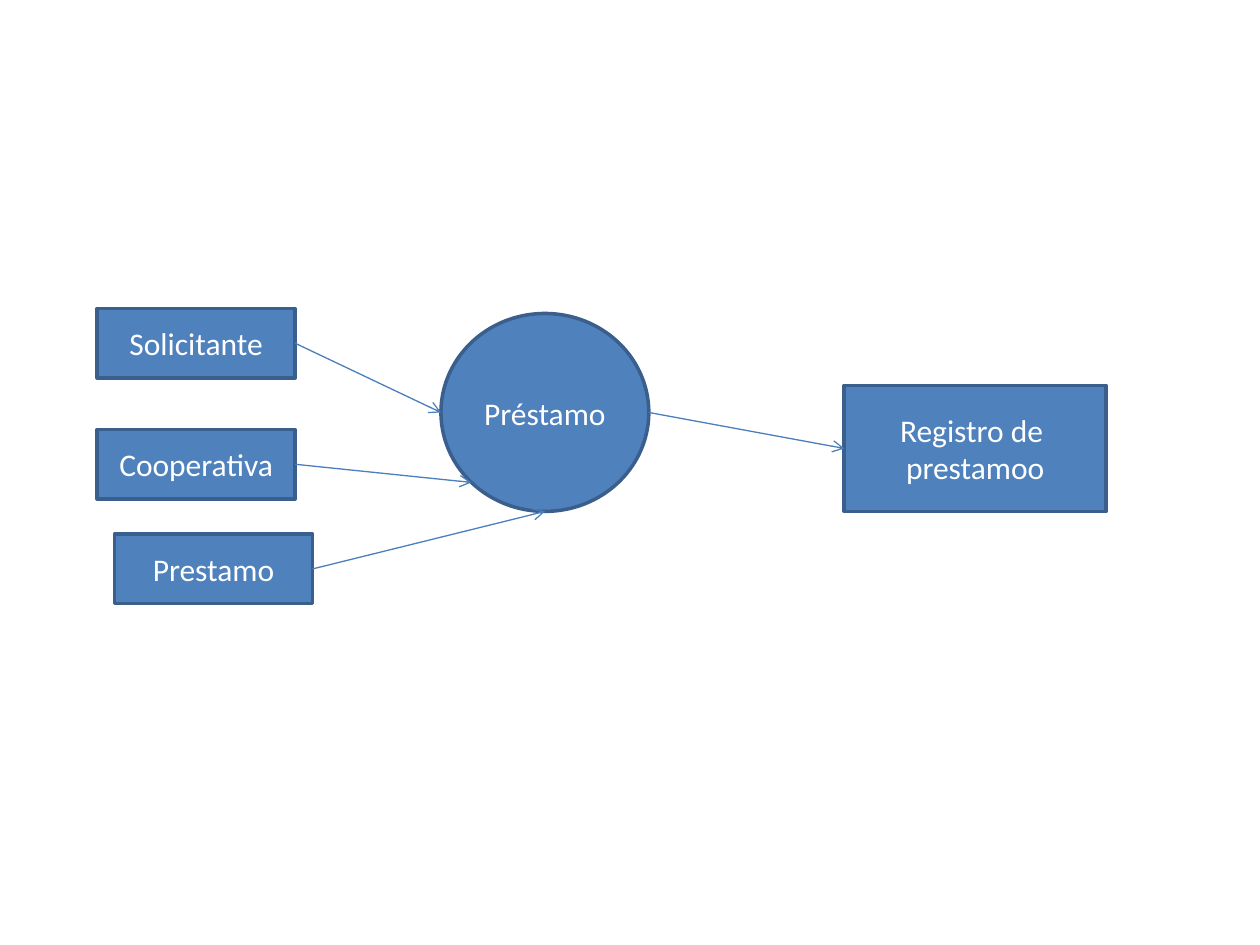
from pptx import Presentation
from pptx.dml.color import RGBColor
from pptx.enum.shapes import MSO_CONNECTOR, MSO_SHAPE
from pptx.enum.text import MSO_ANCHOR, PP_ALIGN
from pptx.oxml.ns import qn
from pptx.util import Cm, Pt
from lxml import etree

RECTANGLE, OVAL = MSO_SHAPE.RECTANGLE, MSO_SHAPE.OVAL
STRAIGHT = MSO_CONNECTOR.STRAIGHT
MIDDLE, CENTER = MSO_ANCHOR.MIDDLE, PP_ALIGN.CENTER
BLUE = RGBColor(0x4F, 0x81, 0xBD)
DARK_BLUE = RGBColor(0x3A, 0x5F, 0x8C)
ARROW_BLUE = RGBColor(0x4B, 0x7E, 0xBC)
WHITE = RGBColor(0xFF, 0xFF, 0xFF)
LEFT_SITE, RIGHT_SITE = 1, 3

deck = Presentation()
deck.slide_width, deck.slide_height = Cm(25.4), Cm(19.05)
page = deck.slides.add_slide(deck.slide_layouts[6])


def add_node(kind, left, top, width, height, *lines):
    node = page.shapes.add_shape(kind, Cm(left), Cm(top), Cm(width), Cm(height))
    node.shadow.inherit = False
    node.fill.solid()
    node.fill.fore_color.rgb = BLUE
    node.line.color.rgb = DARK_BLUE
    node.line.width = Pt(2)
    frame = node.text_frame
    frame.word_wrap = True
    frame.vertical_anchor = MIDDLE
    for index, line in enumerate(lines):
        para = frame.paragraphs[0] if index == 0 else frame.add_paragraph()
        para.alignment = CENTER
        span = para.add_run()
        span.text = line
        span.font.name = "Calibri"
        span.font.size = Pt(18)
        span.font.color.rgb = WHITE
    return node


def add_arrow(start, end):
    arrow = page.shapes.add_connector(STRAIGHT, *start, *end)
    arrow.line.color.rgb = ARROW_BLUE
    arrow.line.width = Pt(0.75)
    etree.SubElement(arrow.line._get_or_add_ln(), qn("a:tailEnd"), type="arrow")
    etree.SubElement(arrow._element.spPr, qn("a:effectLst"))
    return arrow


# Process and its result
loan = add_node(OVAL, 8.89, 6.32, 4.19, 3.99, "Préstamo")
record = add_node(RECTANGLE, 17.02, 7.77, 5.28, 2.54, "Registro de ", "prestamoo")

# Points on the rim of the process
center_x = loan.left + loan.width // 2
center_y = loan.top + loan.height // 2
rim_left = (loan.left, center_y)
rim_right = (loan.left + loan.width, center_y)
rim_bottom = (center_x, loan.top + loan.height)
DIAGONAL = 0.5 ** 0.5
rim_lower_left = (int(center_x - DIAGONAL * loan.width / 2),
                  int(center_y + DIAGONAL * loan.height / 2))

# Inputs, each with an arrow to the process
inputs = [
    ("Solicitante", 1.96, 6.22, rim_left),
    ("Cooperativa", 1.96, 8.66, rim_lower_left),
    ("Prestamo", 2.31, 10.77, rim_bottom),
]
for name, left, top, target in inputs:
    box = add_node(RECTANGLE, left, top, 3.99, 1.4, name)
    start = (box.left + box.width, box.top + box.height // 2)
    add_arrow(start, target).begin_connect(box, RIGHT_SITE)

# Arrow from the process to its result
record_left = (record.left, record.top + record.height // 2)
add_arrow(rim_right, record_left).end_connect(record, LEFT_SITE)

deck.save("out.pptx")
